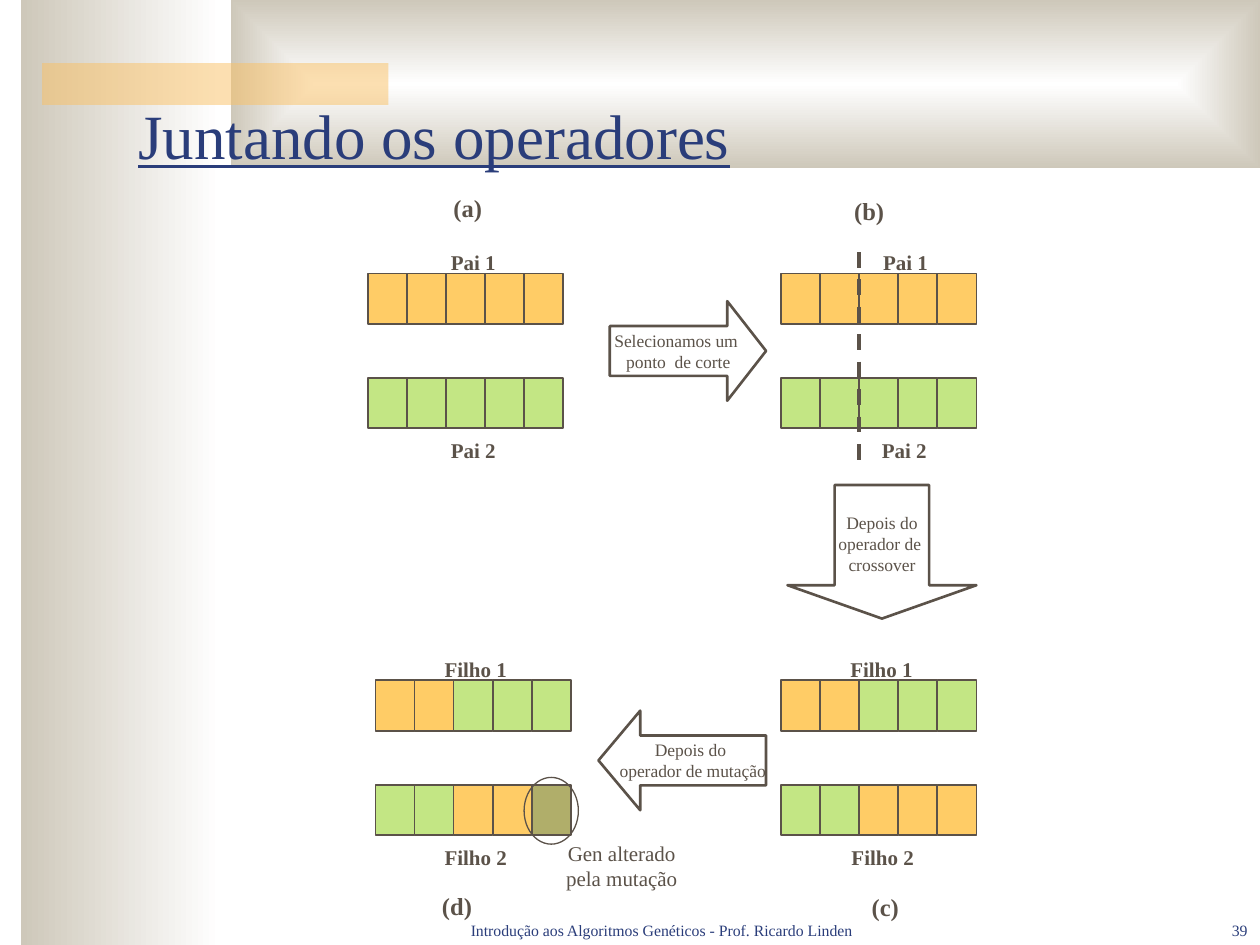
from lxml import etree
from pptx import Presentation
from pptx.dml.color import RGBColor
from pptx.enum import dml, shapes, text
from pptx.oxml import ns, parse_xml
from pptx.util import Pt

FONT = "Times New Roman"
NAVY = RGBColor(0x2A, 0x3D, 0x7A)
BROWN = RGBColor(0x5B, 0x52, 0x49)
ORANGE = RGBColor(0xFF, 0xCC, 0x66)
GREEN = RGBColor(0xC3, 0xE6, 0x84)
MUTATED = RGBColor(0xB0, 0xAE, 0x6A)
BEIGE = RGBColor(0xCE, 0xC8, 0xBA)
WHITE = RGBColor(0xFF, 0xFF, 0xFF)
AMBER = RGBColor(0xFA, 0xC1, 0x64)
LEFT, CENTER, RIGHT = text.PP_ALIGN.LEFT, text.PP_ALIGN.CENTER, text.PP_ALIGN.RIGHT
TOP, MIDDLE, BOTTOM = text.MSO_ANCHOR.TOP, text.MSO_ANCHOR.MIDDLE, text.MSO_ANCHOR.BOTTOM
SHAPE = shapes.MSO_SHAPE

prs = Presentation()
prs.slide_width, prs.slide_height = Pt(720), Pt(540)
slide = prs.slides.add_slide(prs.slide_layouts[6])


def add_box(kind, x, y, w, h, fill=None, line=None):
    """Add a preset shape without shadow; line is a width in points."""
    box = slide.shapes.add_shape(kind, Pt(x), Pt(y), Pt(w), Pt(h))
    box.shadow.inherit = False
    if fill is None:
        box.fill.background()
    else:
        box.fill.solid()
        box.fill.fore_color.rgb = fill
    if line is None:
        box.line.fill.background()
    else:
        box.line.color.rgb = BROWN
        box.line.width = Pt(line)
    return box


def write(box, words, size, color=BROWN, bold=False, align=LEFT, anchor=TOP, wrap=False):
    """Set and format the text of a box or shape."""
    frame = box.text_frame
    frame.text = words
    frame.word_wrap = wrap
    frame.vertical_anchor = anchor
    for paragraph in frame.paragraphs:
        paragraph.alignment = align
        font = paragraph.runs[0].font
        font.name, font.size, font.bold = FONT, Pt(size), bold
        font.color.rgb = color


# Background bands
side_band = add_box(SHAPE.RECTANGLE, 12, 0, 114, 540)
top_band = add_box(SHAPE.RECTANGLE, 132, 0, 588, 96)
for band in (side_band, top_band):
    band.fill.gradient()
    for stop, position, color in zip(band.fill.gradient_stops, (0, 1), (WHITE, BEIGE)):
        stop.position = position
        stop.color.rgb = color
side_band.fill.gradient_angle = 180
linear = top_band.element.spPr.find(".//" + ns.qn("a:lin"))
linear.getparent().replace(linear, parse_xml(
    f'<a:path {ns.nsdecls("a")} path="rect">'
    '<a:fillToRect l="50000" t="50000" r="50000" b="50000"/></a:path>'))

accent = add_box(SHAPE.RECTANGLE, 24, 36, 198, 24, AMBER)
accent_color = accent.element.spPr.find(".//" + ns.qn("a:srgbClr"))
etree.SubElement(accent_color, ns.qn("a:alpha")).set("val", "50000")

# Title
title = slide.shapes.add_textbox(Pt(72), Pt(12), Pt(612), Pt(90))
write(title, "Juntando os operadores", 36, NAVY, anchor=BOTTOM, wrap=True)
title.text_frame.paragraphs[0].runs[0].font.underline = True

# Chromosomes: five genes each
GENE_W, GENE_H = 22.32, 28.8
PARENT_1 = [ORANGE] * 5
PARENT_2 = [GREEN] * 5
CHILD_1 = PARENT_1[:2] + PARENT_2[2:]
CHILD_2 = PARENT_2[:2] + PARENT_1[2:]
chromosomes = [
    (210.24, 156.24, PARENT_1),
    (210.24, 216, PARENT_2),
    (446.4, 156.24, PARENT_1),
    (446.4, 216, PARENT_2),
    (446.4, 388.8, CHILD_1),
    (446.4, 448.56, CHILD_2),
    (214.56, 388.8, CHILD_1),
    (214.56, 448.56, CHILD_2[:4] + [MUTATED]),
]
for left, top, genes in chromosomes:
    for i, color in enumerate(genes):
        add_box(SHAPE.RECTANGLE, left + i * GENE_W, top, GENE_W, GENE_H, color, 1)

# Ring around the mutated gene
add_box(SHAPE.OVAL, 299.5, 444.24, 31, 38.16, line=0.75)

# Cut point
cut = slide.shapes.add_connector(shapes.MSO_CONNECTOR.STRAIGHT,
                                 Pt(491.04), Pt(144), Pt(491.04), Pt(262.8))
cut.line.color.rgb = BROWN
cut.line.width = Pt(2.25)
cut.line.dash_style = dml.MSO_LINE.DASH
etree.SubElement(cut.element.spPr, ns.qn("a:effectLst"))

# Step arrows
steps = [
    (SHAPE.RIGHT_ARROW, 348.48, 172.08, 89.28, 56.88, 0.39,
     "Selecionamos um \nponto  de corte"),
    (SHAPE.DOWN_ARROW, 450, 277.2, 108, 76.32, 0.25,
     "Depois do\noperador de \ncrossover"),
    (SHAPE.LEFT_ARROW, 342, 406.08, 95.76, 56.88, 0.42,
     "Depois do \noperador de mutação"),
]
for kind, x, y, w, h, head, words in steps:
    arrow = add_box(kind, x, y, w, h, line=1.5)
    arrow.adjustments[0], arrow.adjustments[1] = 0.5, head
    write(arrow, words, 10, align=CENTER, anchor=MIDDLE)

# Panel letters and chromosome names, each box wide enough for one line
labels = [
    ("(a)", 252, 106.56, 34, 14),
    ("(b)", 481, 108.72, 36, 14),
    ("(c)", 491.04, 506.16, 34, 14),
    ("(d)", 245.52, 505.44, 36, 14),
    ("Pai 1", 250.56, 138.96, 46, 12),
    ("Pai 2", 250.56, 246.24, 46, 12),
    ("Pai 1", 497.52, 138.96, 46, 12),
    ("Pai 2", 496.8, 246.24, 46, 12),
    ("Filho 1", 478.8, 371.52, 58, 12),
    ("Filho 2", 479.52, 478.8, 58, 12),
    ("Filho 1", 246.96, 371.52, 58, 12),
    ("Filho 2", 246.96, 478.8, 58, 12),
]
for words, x, y, w, size in labels:
    label = slide.shapes.add_textbox(Pt(x), Pt(y), Pt(w), Pt(size + 10))
    write(label, words, size, bold=True)

mutation_note = slide.shapes.add_textbox(Pt(309.6), Pt(476.64), Pt(91.44), Pt(36))
write(mutation_note, "Gen alterado\npela mutação", 12, align=CENTER)

# Footer and page number
footer = slide.shapes.add_textbox(Pt(198), Pt(504.72), Pt(360), Pt(36))
write(footer, "Introdução aos Algoritmos Genéticos - Prof. Ricardo Linden", 9, NAVY,
      align=CENTER, anchor=BOTTOM, wrap=True)
page_number = slide.shapes.add_textbox(Pt(648), Pt(504.72), Pt(72), Pt(36))
write(page_number, "39", 9, NAVY, align=RIGHT, anchor=BOTTOM, wrap=True)

prs.save("out.pptx")
